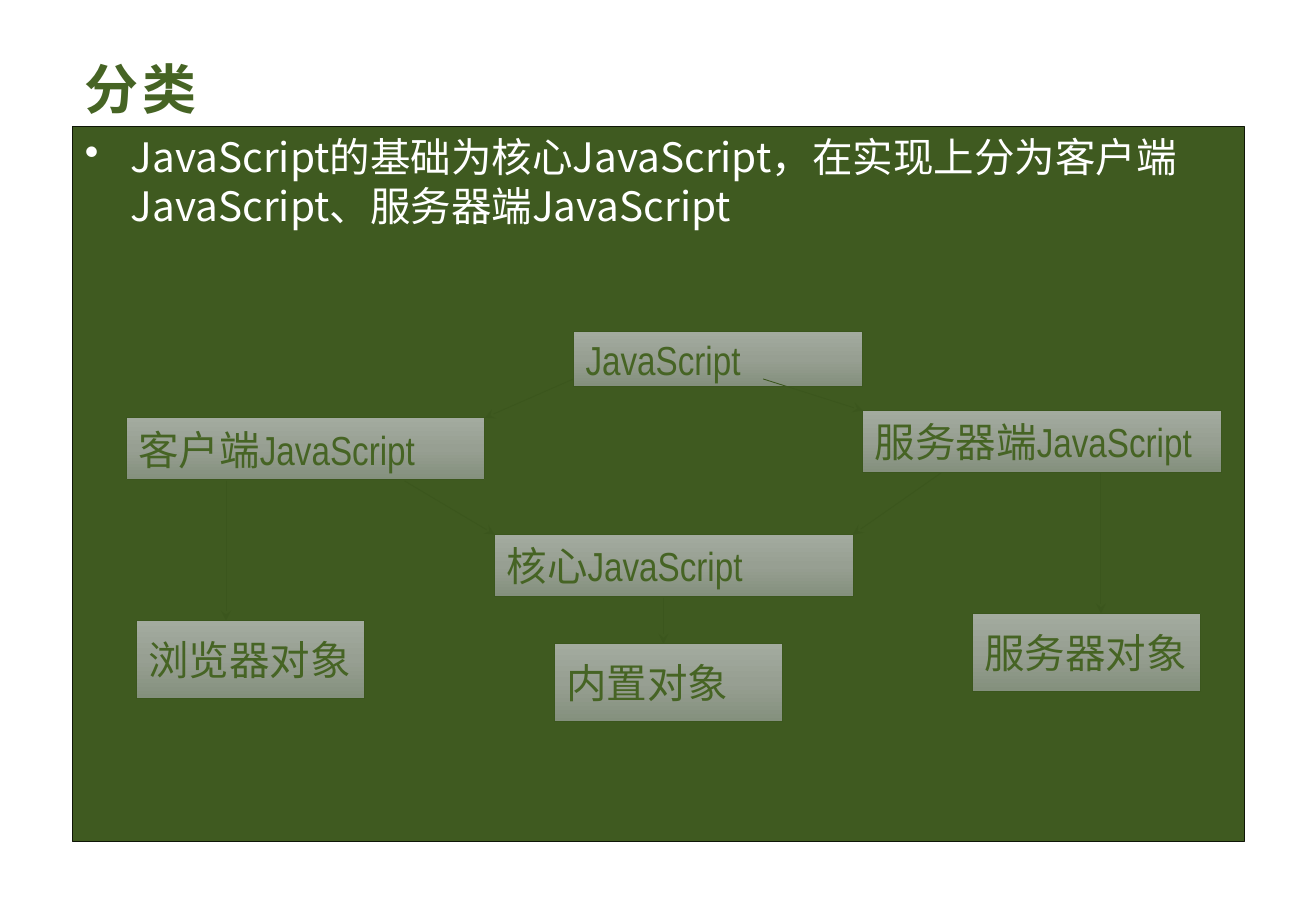
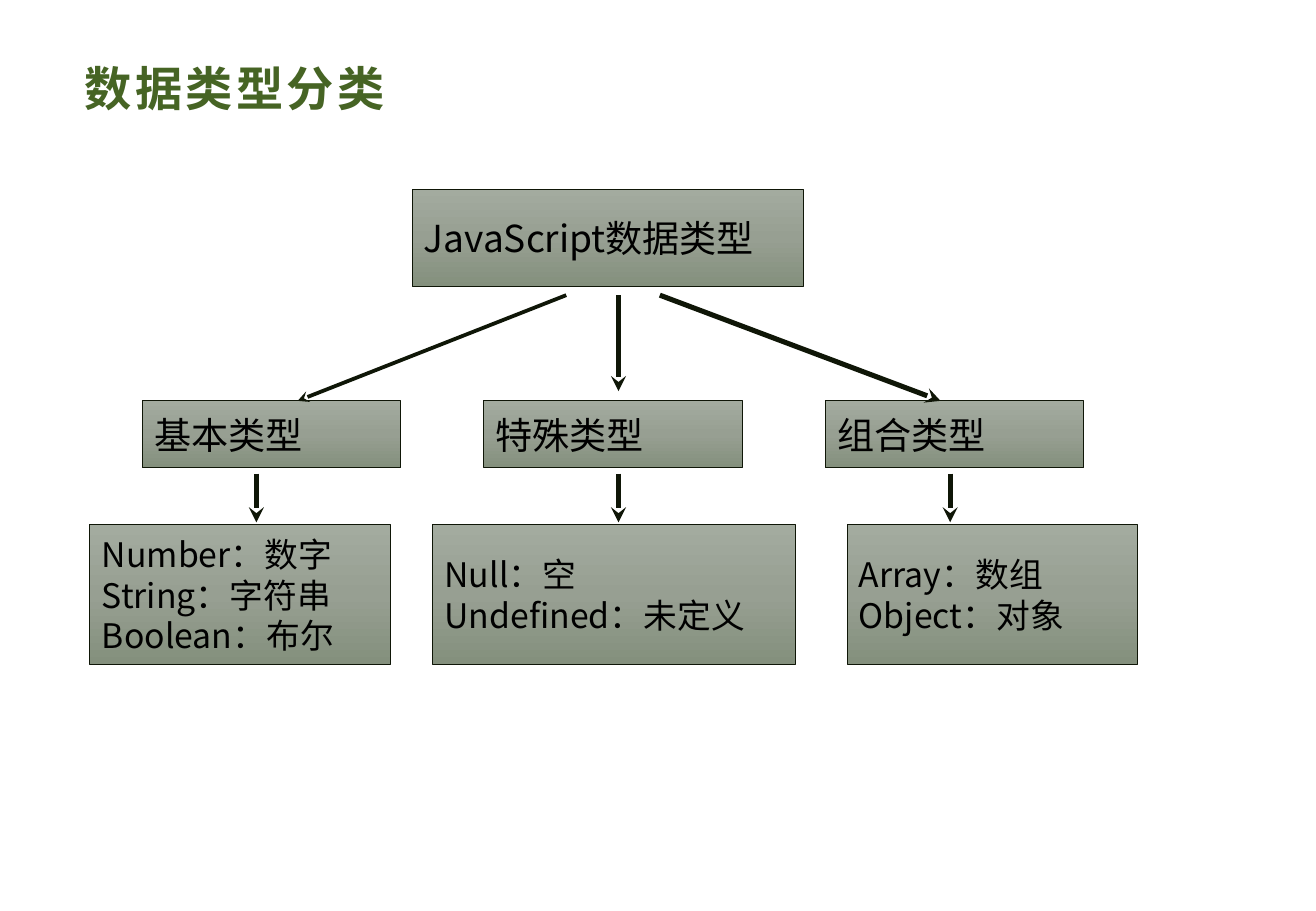
from copy import deepcopy

from lxml import etree
from pptx import Presentation
from pptx import util as u
from pptx.dml.color import RGBColor
from pptx.enum import shapes, text
from pptx.oxml.ns import qn

PX = 9144
GREEN = RGBColor(0x46, 0x64, 0x24)
PANEL = RGBColor(0x3F, 0x5A, 0x20)
EDGE = RGBColor(0x3B, 0x56, 0x1D)
DARK = RGBColor(0x0F, 0x16, 0x07)
BLACK = RGBColor(0, 0, 0)
WHITE = RGBColor(0xFF, 0xFF, 0xFF)
BOX_STOPS = (RGBColor(0xA3, 0xAB, 0x9F), RGBColor(0x97, 0x9F, 0x92), RGBColor(0x84, 0x90, 0x7D))
SANS = "Noto Sans CJK SC"
NARROW = "Arial Narrow"

MARGIN, CONTENT_W = 60, 964
INTRO = "JavaScript的基础为核心JavaScript，在实现上分为客户端JavaScript、服务器端JavaScript"

FAMILY = [
    ("JavaScript", 472, 273, 238, 45),
    ("核心JavaScript", 407, 440, 295, 51),
    ("客户端JavaScript", 104, 344, 295, 51),
    ("服务器端JavaScript", 710, 338, 295, 51),
    ("浏览器对象", 112, 511, 188, 64),
    ("服务器对象", 800, 505, 188, 64),
    ("内置对象", 456, 530, 188, 64),
]
FAMILY_ARROWS = [
    (186, 396, 186, 511),
    (472, 312, 399, 344),
    (628, 312, 710, 338),
    (333, 396, 407, 440),
    (775, 389, 702, 440),
    (906, 389, 906, 505),
    (546, 492, 546, 530),
]

ROOT = ("JavaScript数据类型", 339, 156, 322, 80)
KINDS = ["基本类型", "特殊类型", "组合类型"]
KIND_X, KIND_STEP, KIND_Y, KIND_W, KIND_H = 117, 281, 330, 213, 55
MEMBERS = [
    ("Number：数字\nString：字符串\nBoolean：布尔", 74, 247),
    ("Null：空\nUndefined：未定义", 356, 299),
    ("Array：数组\nObject：对象", 697, 239),
]
MEMBER_Y, MEMBER_H = 432, 115
ROOT_ARROWS = [
    (466, 243, 245, 330, 2.25),
    (509, 243, 509, 322, 3),
    (543, 243, 774, 330, 3),
]
MEMBER_ARROW_X = [211, 509, 782]


def px(*values):
    return [u.Emu(v * PX) for v in values]


def write(sp, content, size, color, font=SANS, anchor=text.MSO_ANCHOR.MIDDLE, wrap=True):
    tf = sp.text_frame
    tf.word_wrap = wrap
    tf.vertical_anchor = anchor
    tf.text = content
    for p in tf.paragraphs:
        p.alignment = text.PP_ALIGN.LEFT
        p.font.size = u.Pt(size)
        p.font.color.rgb = color
        p.font.name = font
        props = p.font.fill._xPr
        etree.SubElement(props, qn("a:ea")).set("typeface", SANS)
    return tf.paragraphs[0]


def add_title(slide, content, size):
    sp = slide.shapes.add_textbox(*px(MARGIN, 48, CONTENT_W, 48))
    p = write(sp, content, size, GREEN)
    p.font.bold = True
    p.font.fill._xPr.set("spc", "200")


def add_rect(parent, place, line, width):
    sp = parent.add_shape(shapes.MSO_SHAPE.RECTANGLE, *px(*place))
    sp.shadow.inherit = False
    sp.line.color.rgb = line
    sp.line.width = u.Pt(width)
    return sp


def add_box(parent, content, place, line, size, color, font=SANS):
    sp = add_rect(parent, place, line, 0.5)
    sp.fill.gradient()
    sp.fill.gradient_angle = 270
    stops = sp._element.spPr.find(".//" + qn("a:gsLst"))
    stops.insert(1, deepcopy(stops[0]))
    for i, (stop, shade) in enumerate(zip(sp.fill.gradient_stops, BOX_STOPS)):
        stop.position = i / 2
        stop.color.rgb = shade
    write(sp, content, size, color, font, wrap=False)


def add_arrow(parent, ends, color, width):
    cx = parent.add_connector(shapes.MSO_CONNECTOR.STRAIGHT, *px(*ends))
    cx.line.color.rgb = color
    cx.line.width = u.Pt(width)
    etree.SubElement(cx.line._get_or_add_ln(), qn("a:tailEnd")).set("type", "stealth")
    etree.SubElement(cx._element.spPr, qn("a:effectLst"))


def build_family(slide):
    add_title(slide, "分类", 32)
    panel = add_rect(slide.shapes, (MARGIN, 104, CONTENT_W, 589), DARK, 0.75)
    panel.fill.solid()
    panel.fill.fore_color.rgb = PANEL
    panel.text_frame.text = INTRO
    p = write(panel, INTRO, 24, WHITE, anchor=text.MSO_ANCHOR.TOP)
    pPr = p._p.get_or_add_pPr()
    pPr.set("marL", str(38 * PX))
    pPr.set("indent", str(-38 * PX))
    bullet = etree.Element(qn("a:buChar"))
    bullet.set("char", "•")
    pPr.insert(0, bullet)

    group = slide.shapes.add_group_shape().shapes
    for name, *place in FAMILY:
        add_box(group, name, place, EDGE, 24, GREEN, NARROW)
    for ends in FAMILY_ARROWS:
        add_arrow(group, ends, EDGE, 0.5)


def build_types(slide):
    add_title(slide, "数据类型分类", 28)
    name, *place = ROOT
    add_box(slide.shapes, name, place, DARK, 22, BLACK)
    for i, kind in enumerate(KINDS):
        place = (KIND_X + i * KIND_STEP, KIND_Y, KIND_W, KIND_H)
        add_box(slide.shapes, kind, place, DARK, 22, BLACK)
    for names, x, w in MEMBERS:
        add_box(slide.shapes, names, (x, MEMBER_Y, w, MEMBER_H), DARK, 20, BLACK)
    for *ends, width in ROOT_ARROWS:
        add_arrow(slide.shapes, ends, DARK, width)
    for x in MEMBER_ARROW_X:
        add_arrow(slide.shapes, (x, 390, x, 430), DARK, 3)


def main():
    prs = Presentation()
    prs.slide_width, prs.slide_height = px(1083, 750)
    for build in (build_family, build_types):
        build(prs.slides.add_slide(prs.slide_layouts[6]))
    prs.save("out.pptx")


if __name__ == "__main__":
    main()
